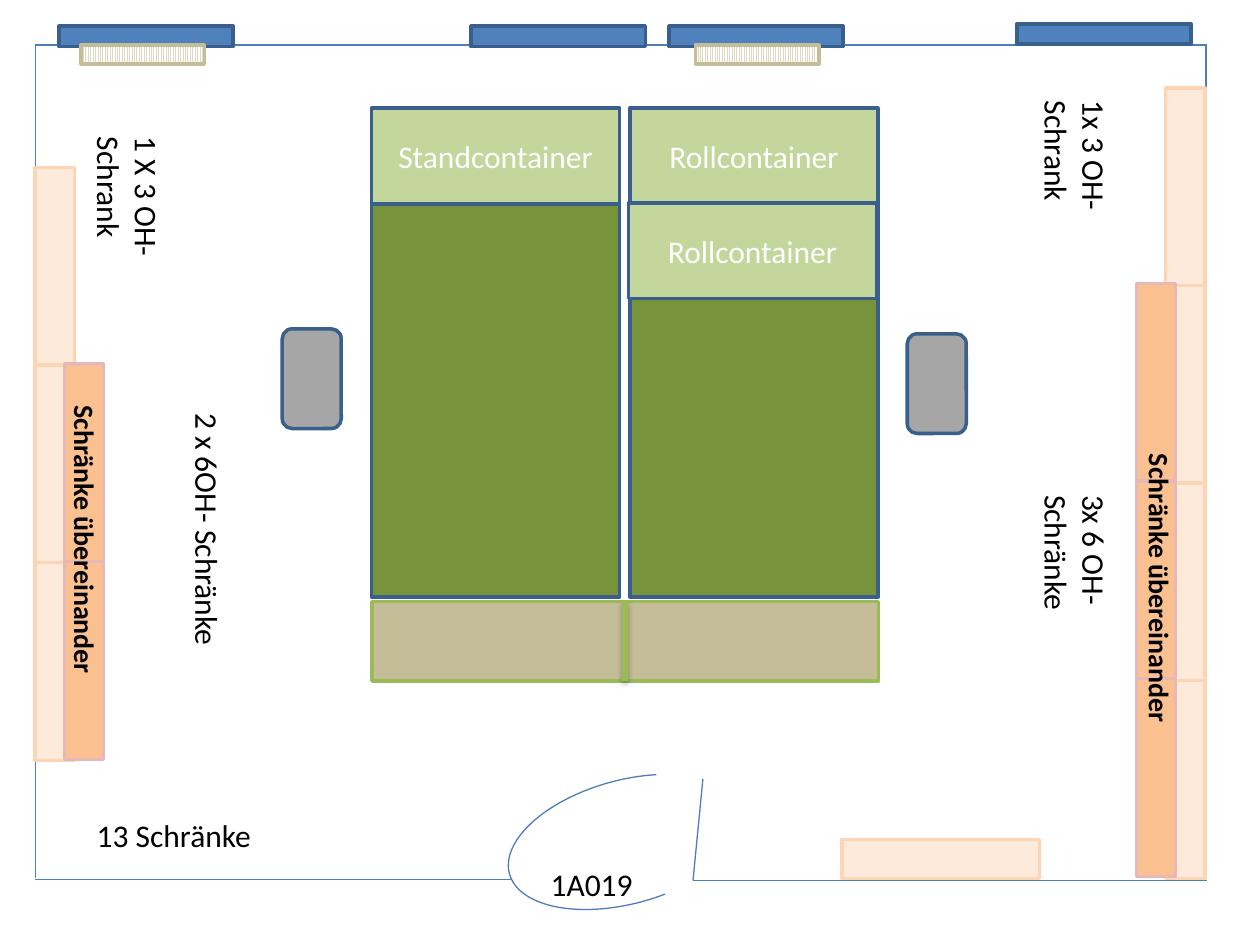
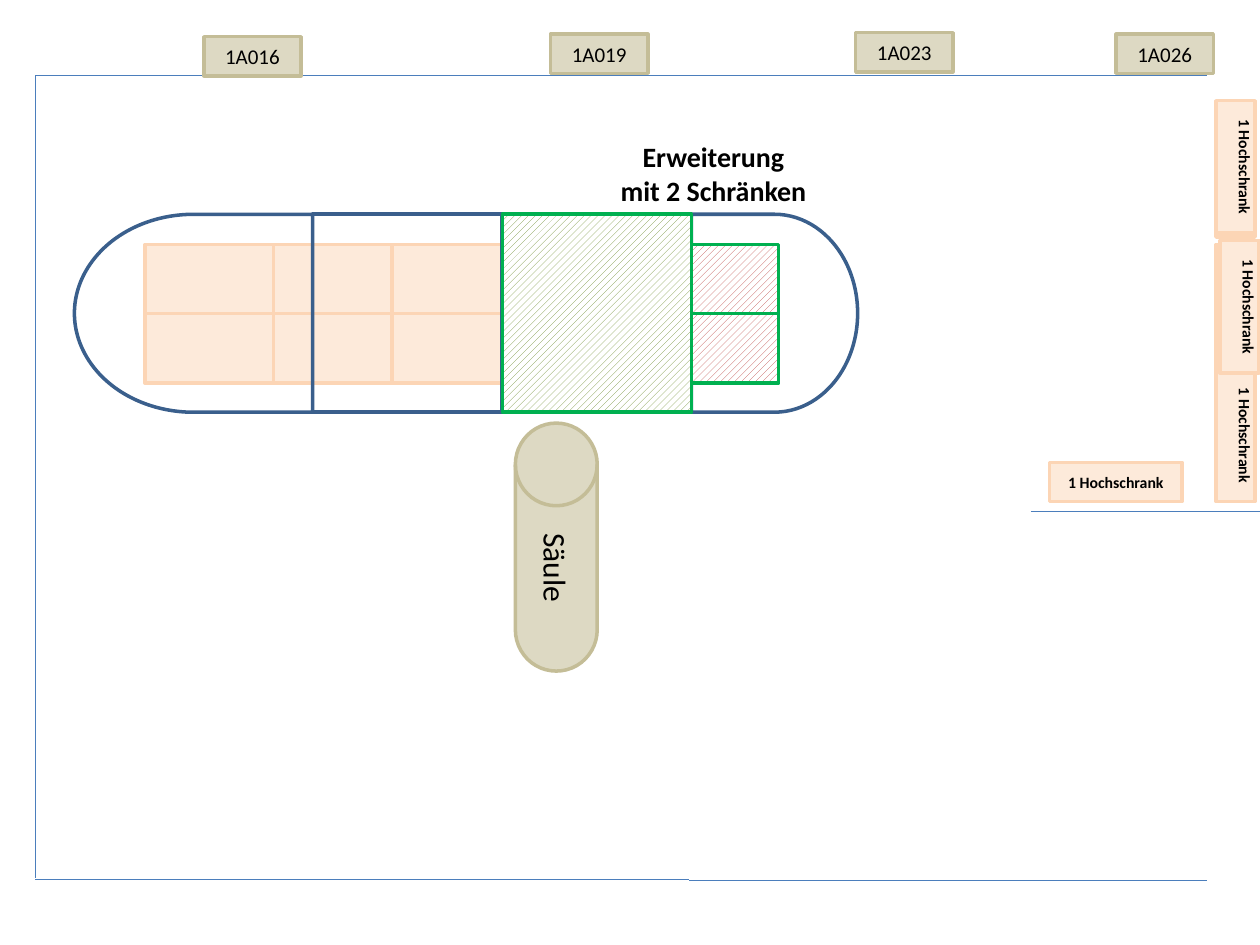
from dataclasses import dataclass

from lxml import etree
from pptx import Presentation
from pptx.dml.color import RGBColor
from pptx.enum.dml import MSO_PATTERN
from pptx.enum.shapes import MSO_CONNECTOR, MSO_SHAPE
from pptx.enum.text import MSO_ANCHOR, PP_ALIGN
from pptx.oxml.ns import qn
from pptx.util import Cm, Pt

RECT = MSO_SHAPE.RECTANGLE
ROUNDED = MSO_SHAPE.ROUNDED_RECTANGLE
ARC = MSO_SHAPE.ARC
DELAY = MSO_SHAPE.FLOWCHART_DELAY
CYLINDER = MSO_SHAPE.FLOWCHART_MAGNETIC_DISK
STRAIGHT = MSO_CONNECTOR.STRAIGHT
STRIPES = MSO_PATTERN.LIGHT_VERTICAL
HATCH = MSO_PATTERN.WIDE_UPWARD_DIAGONAL
LEFT, CENTER = PP_ALIGN.LEFT, PP_ALIGN.CENTER
TOP, MIDDLE = MSO_ANCHOR.TOP, MSO_ANCHOR.MIDDLE


@dataclass(frozen=True)
class Theme:
    font: str = "Calibri"
    body: int = 18
    heading: int = 16
    sign: int = 12
    small: int = 9
    outline: float = 2
    wall_width: float = 0.75
    black: str = "000000"
    white: str = "FFFFFF"
    wall: str = "4B7EBC"
    window: str = "4F81BD"
    navy: str = "3A5F8C"
    cabinet: str = "FDEADA"
    cabinet_edge: str = "FCD5B5"
    stacked: str = "FAC090"
    stacked_edge: str = "E6B9B8"
    desk: str = "77933C"
    container: str = "C3D69B"
    chair: str = "A6A6A6"
    sideboard: str = "C4BD97"
    sideboard_edge: str = "9BBB59"
    stone: str = "DDD9C3"
    extension: str = "00B050"
    extension_hatch: str = "C0504D"


class FloorPlan:
    def __init__(self, deck, theme):
        self.deck = deck
        self.theme = theme
        self.page = None

    def new_page(self):
        self.page = self.deck.slides.add_slide(self.deck.slide_layouts[6])

    def line(self, x1, y1, x2, y2, color=None, width=None, shadow=False):
        line = self.page.shapes.add_connector(STRAIGHT, Cm(x1), Cm(y1), Cm(x2), Cm(y2))
        line.line.color.rgb = RGBColor.from_string(color or self.theme.wall)
        line.line.width = Pt(width or self.theme.wall_width)
        effects = etree.SubElement(line.element.spPr, qn("a:effectLst"))
        if shadow:
            outer = etree.SubElement(effects, qn("a:outerShdw"), blurRad="40000",
                                     dist="23000", dir="5400000", rotWithShape="0")
            tint = etree.SubElement(outer, qn("a:srgbClr"), val=self.theme.black)
            etree.SubElement(tint, qn("a:alpha"), val="35000")

    def place(self, add, left, top, width, height, turn):
        if turn == 90:
            left, top = left + (width - height) / 2, top + (height - width) / 2
            width, height = height, width
        box = add(Cm(left), Cm(top), Cm(width), Cm(height))
        box.rotation = turn
        return box

    def shape(self, left, top, width, height, fill=None, edge=None, kind=RECT,
              turn=0, pattern=None, weight=None):
        def add(*bounds):
            return self.page.shapes.add_shape(kind, *bounds)

        box = self.place(add, left, top, width, height, turn)
        box.shadow.inherit = False
        if pattern is not None:
            box.fill.patterned()
            box.fill.pattern = pattern
            box.fill.fore_color.rgb = RGBColor.from_string(fill)
            box.fill.back_color.rgb = RGBColor.from_string(self.theme.white)
        elif fill:
            box.fill.solid()
            box.fill.fore_color.rgb = RGBColor.from_string(fill)
        else:
            box.fill.background()
        box.line.color.rgb = RGBColor.from_string(edge or self.theme.navy)
        box.line.width = Pt(weight or self.theme.outline)
        return box

    def add_text(self, box, text, size, color=None, bold=False, align=CENTER,
                 anchor=MIDDLE, flow=None):
        frame = box.text_frame
        frame.word_wrap = True
        frame.vertical_anchor = anchor
        if flow:
            box.element.txBody.bodyPr.set("vert", flow)
        para = frame.paragraphs[0]
        para.alignment = align
        for index, part in enumerate(text.split("\n")):
            if index:
                para.add_line_break()
            span = para.add_run()
            span.text = part
            span.font.name = self.theme.font
            span.font.size = Pt(size)
            span.font.bold = bold
            span.font.color.rgb = RGBColor.from_string(color or self.theme.black)

    def label(self, text, left, top, width, height, turn=0, flow=None, heading=False):
        box = self.place(self.page.shapes.add_textbox, left, top, width, height, turn)
        size = self.theme.heading if heading else self.theme.body
        self.add_text(box, text, size, bold=heading, align=CENTER if heading else LEFT,
                      anchor=TOP, flow=flow)

    def cabinet(self, left, top, width=0.79, height=3.99, stacked=False, text=None, turn=0):
        theme = self.theme
        fill, edge = ((theme.stacked, theme.stacked_edge) if stacked
                      else (theme.cabinet, theme.cabinet_edge))
        box = self.shape(left, top, width, height, fill, edge, turn=turn)
        if text:
            self.add_text(box, text, theme.small, bold=True)
            if turn:
                box.text_frame.margin_bottom = Cm(0.51)

    def cabinet_column(self, left, top, count, stacked=False):
        pitch = 3.98
        for index in range(count):
            self.cabinet(left, top + index * pitch, stacked=stacked)

    def container(self, text, left, top):
        box = self.shape(left, top, 5, 1.93, self.theme.container)
        self.add_text(box, text, self.theme.body, self.theme.white)

    def sign(self, text, left, top):
        box = self.shape(left, top, 1.96, 0.79, self.theme.stone, self.theme.sideboard)
        self.add_text(box, text, self.theme.sign)

    def walls(self, top, left_end, right_start):
        self.line(0.71, top, 24.33, top)
        self.line(0.71, top, 0.71, 17.7)
        self.line(0.71, 17.73, left_end, 17.73)
        self.line(right_start, 17.75, 24.33, 17.75)


def draw_office(plan):
    theme = plan.theme
    plan.new_page()
    plan.walls(0.91, 10.31, 13.97)
    plan.line(24.31, 17.7, 24.31, 0.91)
    for left, top in ((1.19, 0.53), (9.5, 0.53), (13.49, 0.53), (20.5, 0.48)):
        plan.shape(left, top, 3.51, 0.41, theme.window)

    plan.line(14.17, 15.7, 13.97, 17.75)
    door = plan.shape(11.38, 14.53, 2.49, 4.88, edge=theme.wall, kind=ARC,
                      turn=254.7, weight=theme.wall_width)
    door.adjustments[0] = 95.23
    door.adjustments[1] = 23.65

    plan.cabinet_column(0.71, 3.38, 3)
    plan.cabinet_column(1.3, 7.34, 2, stacked=True)
    plan.cabinet_column(23.5, 1.78, 4)
    plan.cabinet_column(22.91, 5.72, 3, stacked=True)
    plan.cabinet(16.97, 16.92, 3.99, 0.79)

    for left in (7.49, 12.7):
        plan.shape(left, 4.09, 5, 7.95, theme.desk)
    for left, top in ((18.29, 6.73), (5.69, 6.63)):
        plan.shape(left, top, 1.19, 2.01, theme.chair, kind=ROUNDED)
    plan.shape(7.5, 12.13, 10.21, 1.6, theme.sideboard, theme.sideboard_edge)

    plan.label("1A019", 10.85, 17.32, 2.64, 1.02)
    plan.label("13 Schränke", 1.7, 16.33, 4.19, 1.02)
    for left, top, height in ((1.24, 7.72, 6.32), (22.91, 7.37, 8.97)):
        plan.label("Schränke übereinander", left, top, 0.94, height, turn=90, heading=True)
    for left in (1.63, 14.02):
        plan.shape(left, 0.91, 2.49, 0.38, theme.stone, theme.sideboard, pattern=STRIPES)
    plan.line(12.6, 12.12, 12.6, 13.72, theme.sideboard_edge, 3, shadow=True)

    for text, left, top in (("Standcontainer", 7.49, 2.18), ("Rollcontainer", 12.7, 2.18),
                            ("Rollcontainer", 12.67, 4.09)):
        plan.container(text, left, top)
    for text, *bounds in (("2 x 6OH- Schränke", 3.43, 8.08, 1.27, 5.66),
                          ("1 X 3 OH-Schrank", 1.42, 2.51, 2.06, 3.25),
                          ("3x 6 OH-Schränke", 20.52, 9.73, 2.06, 4.8),
                          ("1x 3 OH-Schrank", 20.52, 1.78, 2.06, 3.61)):
        plan.label(text, *bounds, flow="eaVert")


def draw_lobby(plan):
    theme = plan.theme
    rows = (4.93, 6.32)
    plan.new_page()
    plan.walls(1.52, 13.89, 13.89)
    for top in rows:
        for left, width in ((2.92, 2.67), (5.51, 2.51), (7.9, 2.59), (10.49, 2.59)):
            plan.cabinet(left, top, width, 1.4)

    plan.label("Erweiterung\nmit 2 Schränken", 12.19, 2.69, 4.39, 1.63, heading=True)
    for text, left, top in (("1A016", 4.11, 0.74), ("1A019", 11.1, 0.69),
                            ("1A023", 17.25, 0.66), ("1A026", 22.5, 0.69)):
        plan.sign(text, left, top)

    tall = "1 Hochschrank"
    for left, top, text in ((24.51, 2.11, None), (24.51, 4.93, None), (24.51, 7.44, tall),
                            (24.51, 2.03, tall), (24.59, 4.85, tall)):
        plan.cabinet(left, top, 0.79, 2.67, text=text, turn=90)
    plan.line(20.78, 10.31, 25.4, 10.31)
    plan.cabinet(21.16, 9.32, 2.67, 0.79, text=tall)

    column = plan.shape(10.39, 8.53, 1.65, 5, theme.stone, theme.sideboard, CYLINDER)
    plan.add_text(column, "Säule", theme.body, flow="vert")

    plan.shape(13.94, 4.32, 3.35, 3.99, kind=DELAY)
    plan.shape(1.5, 4.32, 4.8, 3.99, kind=DELAY, turn=180)
    plan.shape(6.3, 4.32, 3.81, 3.99)
    for top in rows:
        plan.shape(13.11, top, 2.59, 1.4, theme.extension_hatch, theme.extension,
                   pattern=HATCH)
    plan.shape(10.13, 4.32, 3.81, 3.99, theme.desk, theme.extension, pattern=HATCH)


def main():
    deck = Presentation()
    deck.slide_width = Cm(25.4)
    deck.slide_height = Cm(19.05)
    plan = FloorPlan(deck, Theme())
    draw_office(plan)
    draw_lobby(plan)
    deck.save("out.pptx")


if __name__ == "__main__":
    main()
